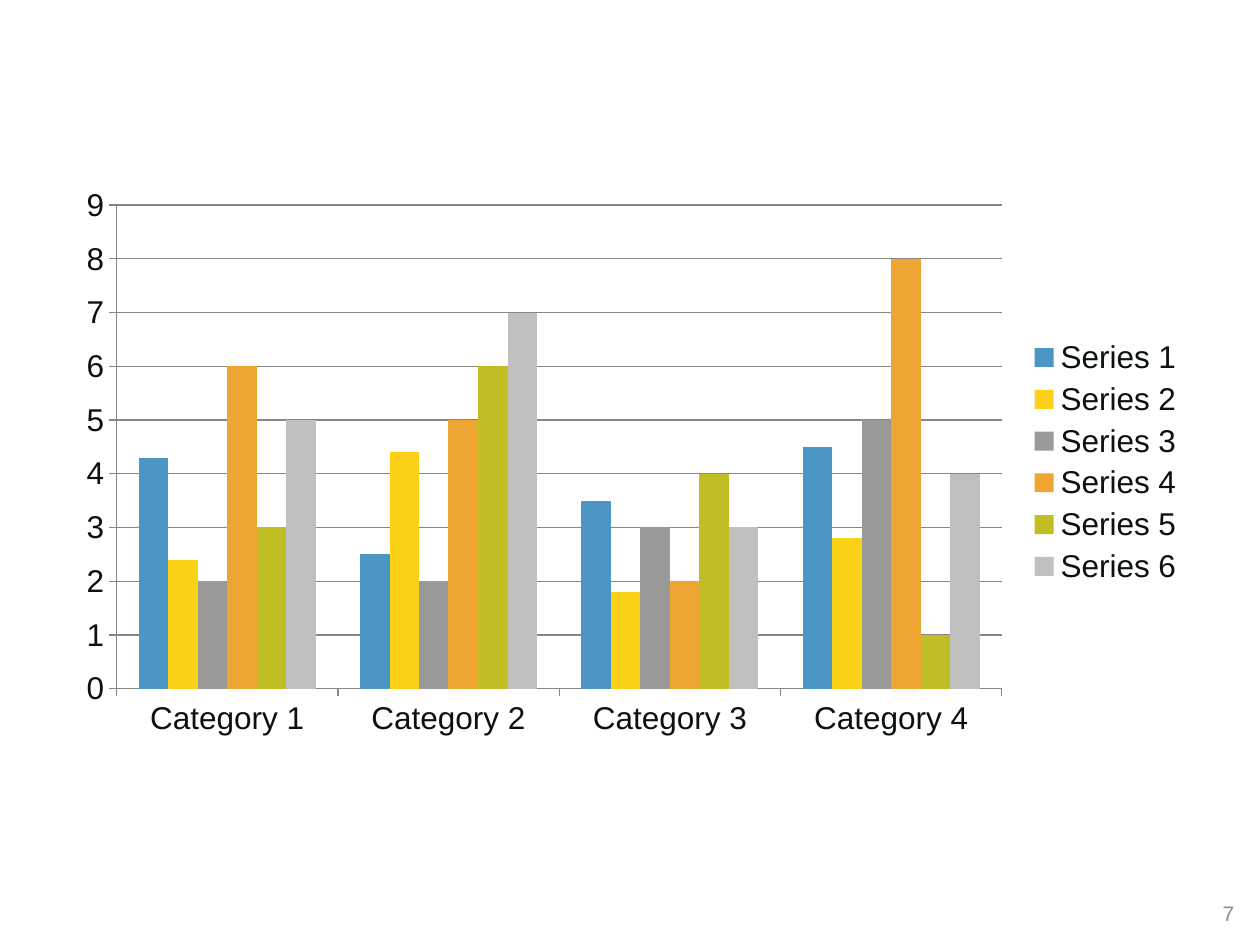
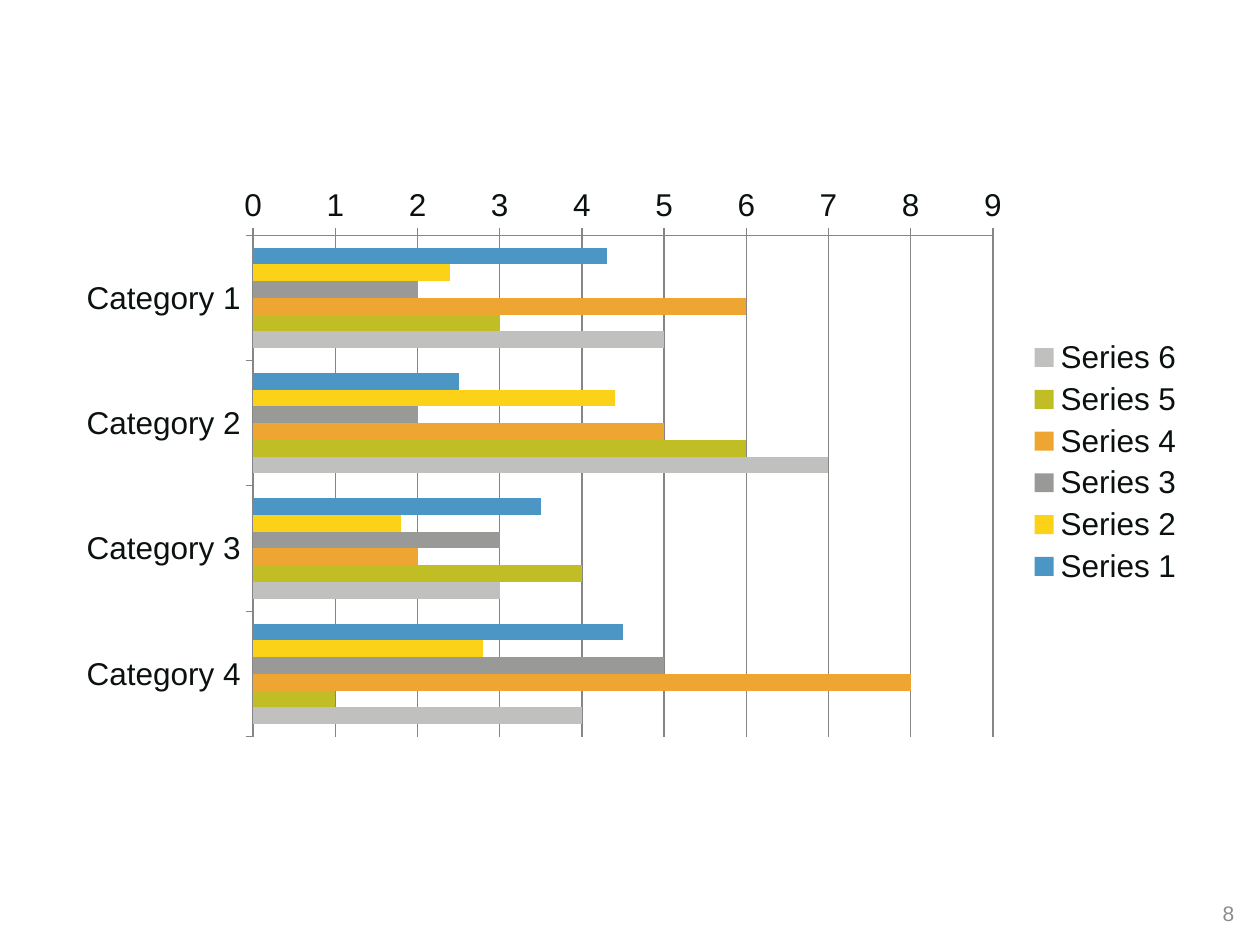
from pptx import Presentation
from pptx.chart.data import CategoryChartData
from pptx.dml.color import RGBColor
from pptx.enum.chart import XL_CHART_TYPE as ChartType, XL_LEGEND_POSITION as LegendPos
from pptx.enum.chart import XL_TICK_MARK as TickMark
from pptx.enum.text import MSO_ANCHOR, PP_ALIGN
from pptx.util import Emu, Pt

FONT = "Arial"
INK = RGBColor(0x0B, 0x11, 0x11)
NUMBER_GREY = RGBColor(0x8C, 0x8C, 0x8C)
LINE_GREY = RGBColor(0x86, 0x86, 0x86)
BLUE = RGBColor(0x4B, 0x96, 0xC5)
YELLOW = RGBColor(0xFB, 0xD2, 0x17)
GREY = RGBColor(0x99, 0x9A, 0x98)
ORANGE = RGBColor(0xEF, 0xA5, 0x31)
GREEN = RGBColor(0xC1, 0xBD, 0x25)
SILVER = RGBColor(0xC0, 0xC1, 0xBF)

CATEGORIES = ["Category 1", "Category 2", "Category 3", "Category 4"]
SERIES = [
    ("Series 1", (4.3, 2.5, 3.5, 4.5), BLUE),
    ("Series 2", (2.4, 4.4, 1.8, 2.8), YELLOW),
    ("Series 3", (2, 2, 3, 5), GREY),
    ("Series 4", (6, 5, 2, 8), ORANGE),
    ("Series 5", (3, 6, 4, 1), GREEN),
    ("Series 6", (5, 7, 3, 4), SILVER),
]
# slide number, chart type, categories run from top to bottom
SLIDES = [
    ("7", ChartType.COLUMN_CLUSTERED, False),
    ("8", ChartType.BAR_CLUSTERED, True),
]

PX_PER_INCH = 126
SLIDE_W, SLIDE_H = 1260, 945
NUMBER_SIDE = 63
CHART_BOX = (64, 176, 1133, 572)


def px(n):
    return Emu(round(n * 914400 / PX_PER_INCH))


def add_text(s, text, box, size=12, color=INK, align=PP_ALIGN.LEFT, anchor=MSO_ANCHOR.TOP):
    tf = s.shapes.add_textbox(*map(px, box)).text_frame
    tf.word_wrap = True
    tf.vertical_anchor = anchor
    p = tf.paragraphs[0]
    p.alignment = align
    r = p.add_run()
    r.text = text
    r.font.name, r.font.size = FONT, Pt(size)
    r.font.color.rgb = color


def add_slide_number(s, number):
    box = (SLIDE_W - NUMBER_SIDE, SLIDE_H - NUMBER_SIDE, NUMBER_SIDE, NUMBER_SIDE)
    add_text(s, number, box, color=NUMBER_GREY, align=PP_ALIGN.CENTER, anchor=MSO_ANCHOR.MIDDLE)


def style_line(line):
    line.color.rgb = LINE_GREY
    line.width = Pt(0.75)


def add_bar_chart(s, chart_type, reverse):
    data = CategoryChartData()
    data.categories = CATEGORIES
    for name, values, _ in SERIES:
        data.add_series(name, values)
    chart = s.shapes.add_chart(chart_type, *map(px, CHART_BOX), data).chart
    chart.has_title = False
    chart.font.name, chart.font.size = FONT, Pt(18)
    chart.font.color.rgb = INK
    chart.has_legend = True
    chart.legend.position = LegendPos.RIGHT
    chart.legend.include_in_layout = False

    plot = chart.plots[0]
    plot.gap_width, plot.overlap = 150, 0
    plot.vary_by_categories = False
    for series, (_, _, color) in zip(plot.series, SERIES):
        series.format.fill.solid()
        series.format.fill.fore_color.rgb = color
        series.invert_if_negative = False

    for axis in (chart.category_axis, chart.value_axis):
        axis.major_tick_mark, axis.minor_tick_mark = TickMark.OUTSIDE, TickMark.NONE
        style_line(axis.format.line)
    chart.category_axis.reverse_order = reverse
    values = chart.value_axis
    values.minimum_scale, values.maximum_scale, values.major_unit = 0, 9, 1
    values.has_major_gridlines = True
    style_line(values.major_gridlines.format.line)


def main():
    prs = Presentation()
    prs.slide_width, prs.slide_height = px(SLIDE_W), px(SLIDE_H)
    blank = prs.slide_layouts[6]
    for number, chart_type, reverse in SLIDES:
        s = prs.slides.add_slide(blank)
        add_slide_number(s, number)
        add_bar_chart(s, chart_type, reverse)
    prs.save("out.pptx")


if __name__ == "__main__":
    main()
